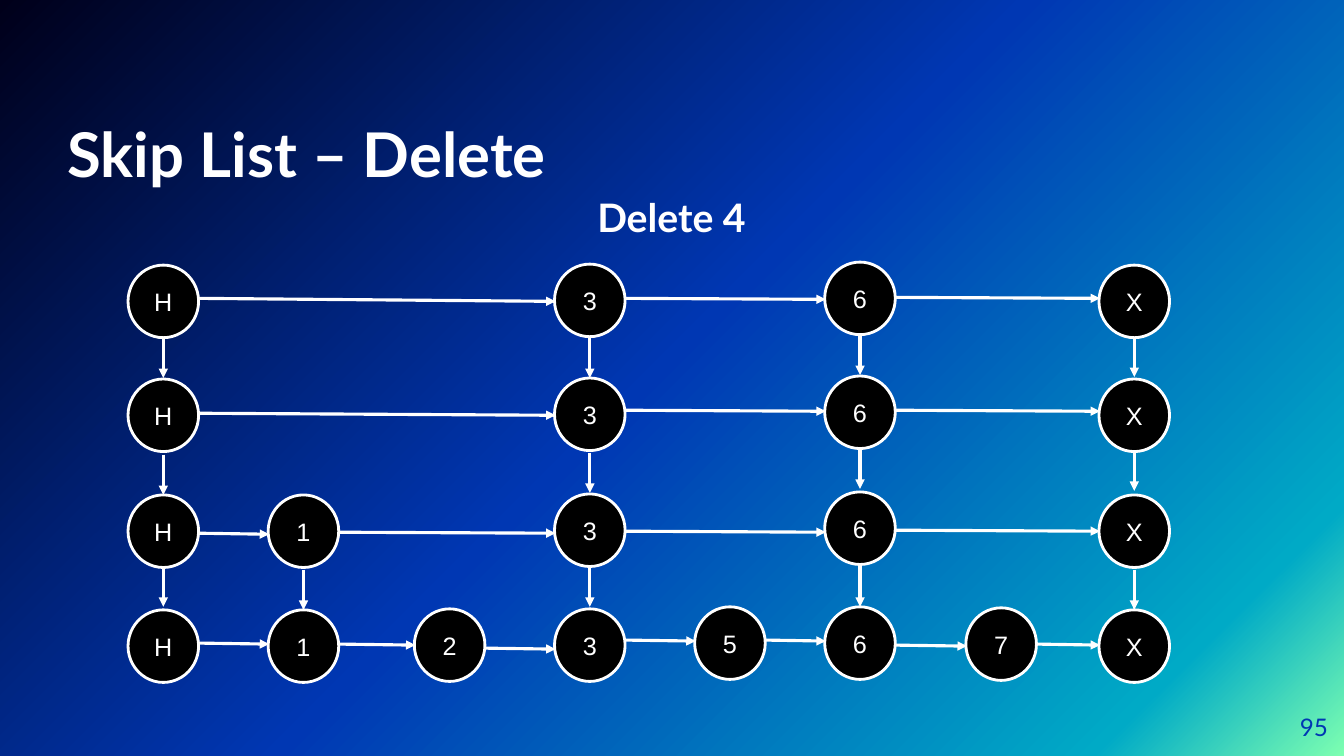
"""Build the skip list deletion slide."""
from copy import deepcopy

from lxml import etree
from pptx import Presentation
from pptx.dml.color import RGBColor
from pptx.enum.shapes import MSO_CONNECTOR, MSO_SHAPE
from pptx.enum.text import MSO_ANCHOR, PP_ALIGN
from pptx.oxml.ns import qn
from pptx.util import Inches, Pt

ELLIPSE = MSO_SHAPE.OVAL
STRAIGHT = MSO_CONNECTOR.STRAIGHT
TOP, MIDDLE, BOTTOM = MSO_ANCHOR.TOP, MSO_ANCHOR.MIDDLE, MSO_ANCHOR.BOTTOM
LEFT, CENTER, RIGHT = PP_ALIGN.LEFT, PP_ALIGN.CENTER, PP_ALIGN.RIGHT

WHITE = RGBColor(0xFF, 0xFF, 0xFF)
BLACK = RGBColor(0x00, 0x00, 0x00)
BLUE = RGBColor(0x00, 0x37, 0xB3)
MINT = RGBColor(0x7D, 0xFF, 0xB1)
TEAL = RGBColor(0x00, 0xAA, 0xC6)
NAVY = RGBColor(0x00, 0x00, 0x1A)
GRADIENT = [(0, MINT), (0.12, TEAL), (0.51, BLUE), (1, NAVY)]

NODE_WIDTH, NODE_HEIGHT = 0.7, 0.72
DOWN_LENGTH = 0.4

# Left edge and vertical shift of each column
COLUMNS = {
    "H": (1.27, 0), "1": (2.66, 0), "2": (4.11, -0.01), "3": (5.5, -0.01),
    "5": (6.89, -0.03), "6": (8.18, -0.03), "7": (9.58, -0.02), "X": (10.9, 0),
}
# Top of each level, its nodes, and start and end heights of its links
LEVELS = [
    (2.63, "H36X", [(2.96, 2.99), (2.96, 2.97), (2.95, 2.96)]),
    (3.76, "H36X", [(4.1, 4.12), (4.07, 4.08), (4.07, 4.08)]),
    (4.91, "H136X", [(5.29, 5.3), (5.28, 5.29), (5.27, 5.28), (5.26, 5.27)]),
    (6.05, "H123567X", [(6.38, 6.39), (6.39, 6.4), (6.43, 6.44), (6.35, 6.36),
                        (6.35, 6.36), (6.4, 6.41), (6.39, 6.4)]),
]
DOWN_STARTS = {
    "H": (3.35, 4.51, 5.62), "1": (5.65,), "3": (3.35, 4.49, 5.62),
    "6": (3.32, 4.45, 5.62), "X": (3.34, 4.47, 5.65),
}


def paint_background(page):
    """Fill the page with the diagonal gradient."""
    fill = page.background.fill
    fill.gradient()
    fill.gradient_angle = 135
    stop_list = page.element.find(".//" + qn("a:gsLst"))
    while len(stop_list) < len(GRADIENT):
        stop_list.append(deepcopy(stop_list[0]))
    for stop, (position, color) in zip(fill.gradient_stops, GRADIENT):
        stop.position = position
        stop.color.rgb = color


def write(frame, text, size, font_name, color, align, anchor, bold=False):
    """Put one styled paragraph in a text frame."""
    frame.word_wrap = True
    frame.vertical_anchor = anchor
    para = frame.paragraphs[0]
    para.text = text
    para.alignment = align
    para.font.size = Pt(size)
    para.font.name = font_name
    para.font.bold = bold
    para.font.color.rgb = color


def add_text(page, bounds, *style, bold=False, inset=0):
    """Add a text box with equal insets."""
    box = page.shapes.add_textbox(*map(Inches, bounds))
    frame = box.text_frame
    frame.margin_left = frame.margin_right = Inches(inset)
    frame.margin_top = frame.margin_bottom = Inches(inset / 2)
    write(frame, *style, bold=bold)


def add_node(page, label, level_top):
    """Add one circular list node."""
    left, shift = COLUMNS[label]
    bounds = (left, level_top + shift, NODE_WIDTH, NODE_HEIGHT)
    node = page.shapes.add_shape(ELLIPSE, *map(Inches, bounds))
    node.shadow.inherit = False
    node.fill.solid()
    node.fill.fore_color.rgb = BLACK
    node.line.color.rgb = WHITE
    node.line.width = Pt(2)
    write(node.text_frame, label, 18, "Arial", WHITE, CENTER, MIDDLE)


def add_arrow(page, *ends):
    """Add a white arrow between two points."""
    arrow = page.shapes.add_connector(STRAIGHT, *map(Inches, ends))
    arrow.line.color.rgb = WHITE
    arrow.line.width = Pt(2.25)
    etree.SubElement(arrow.line._get_or_add_ln(), qn("a:tailEnd"), type="triangle")
    etree.SubElement(arrow.element.spPr, qn("a:effectLst"))


def add_level(page, top, labels, heights):
    """Add the nodes of one level and the links between them."""
    for label in labels:
        add_node(page, label, top)
    for source, target, (start, end) in zip(labels, labels[1:], heights):
        add_arrow(page, COLUMNS[source][0] + NODE_WIDTH, start,
                  COLUMNS[target][0] + 0.01, end)


def main():
    """Build and save the deck."""
    deck = Presentation()
    deck.slide_width, deck.slide_height = Inches(13.33), Inches(7.5)
    page = deck.slides.add_slide(deck.slide_layouts[6])
    paint_background(page)
    add_text(page, (0.67, 0.63, 8.79, 1.25), "Skip List – Delete",
             44, "Lato", WHITE, LEFT, BOTTOM, bold=True)
    add_text(page, (12.37, 6.93, 0.8, 0.57), "95",
             17.3, "Lato", BLUE, RIGHT, MIDDLE)
    for level in LEVELS:
        add_level(page, *level)
    for label, starts in DOWN_STARTS.items():
        center = COLUMNS[label][0] + NODE_WIDTH / 2
        for start in starts:
            add_arrow(page, center, start, center, start + DOWN_LENGTH)
    add_text(page, (4.96, 1.87, 3.4, 0.57), "Delete 4",
             28, "Lato", WHITE, CENTER, TOP, bold=True, inset=0.1)
    deck.save("out.pptx")


if __name__ == "__main__":
    main()
